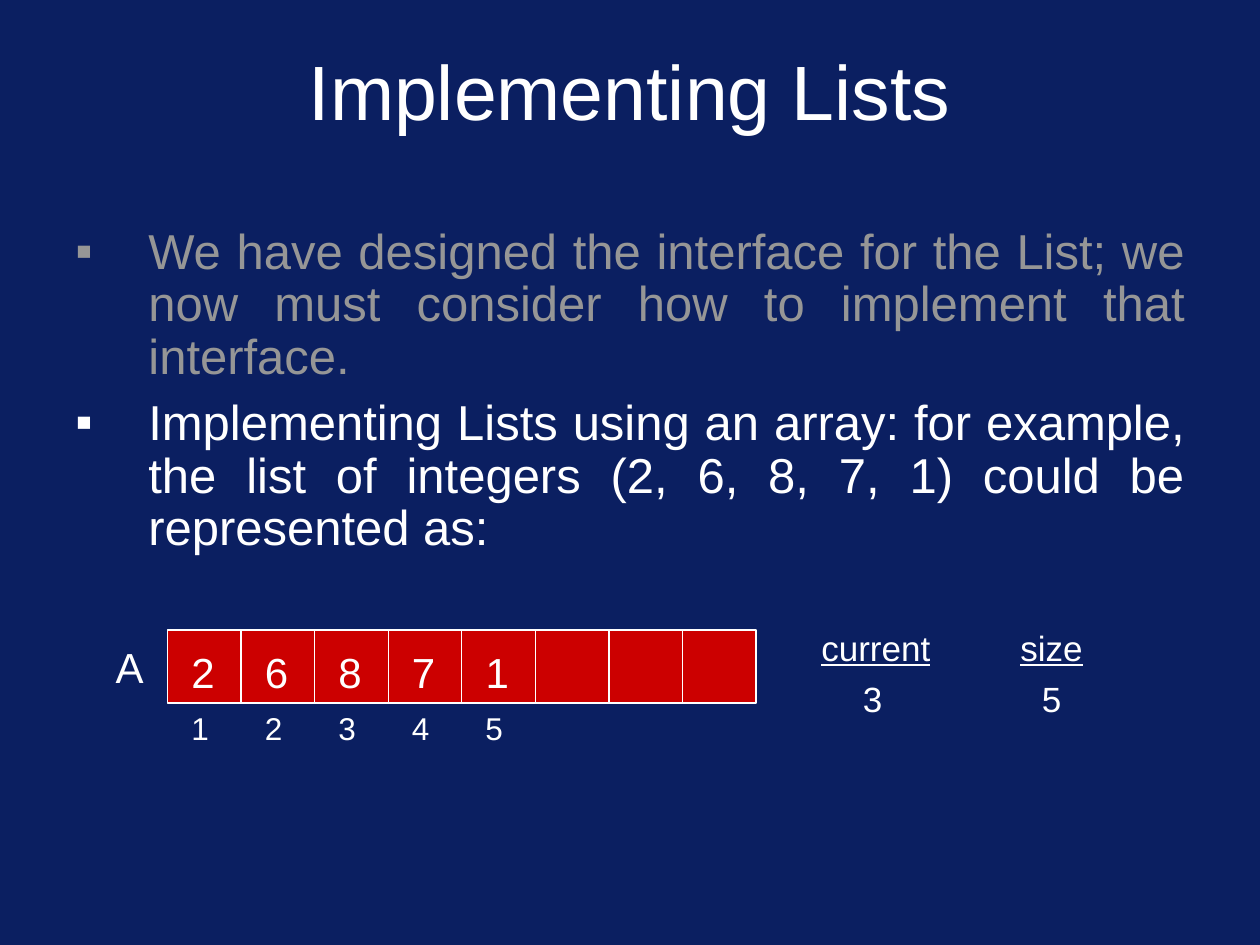
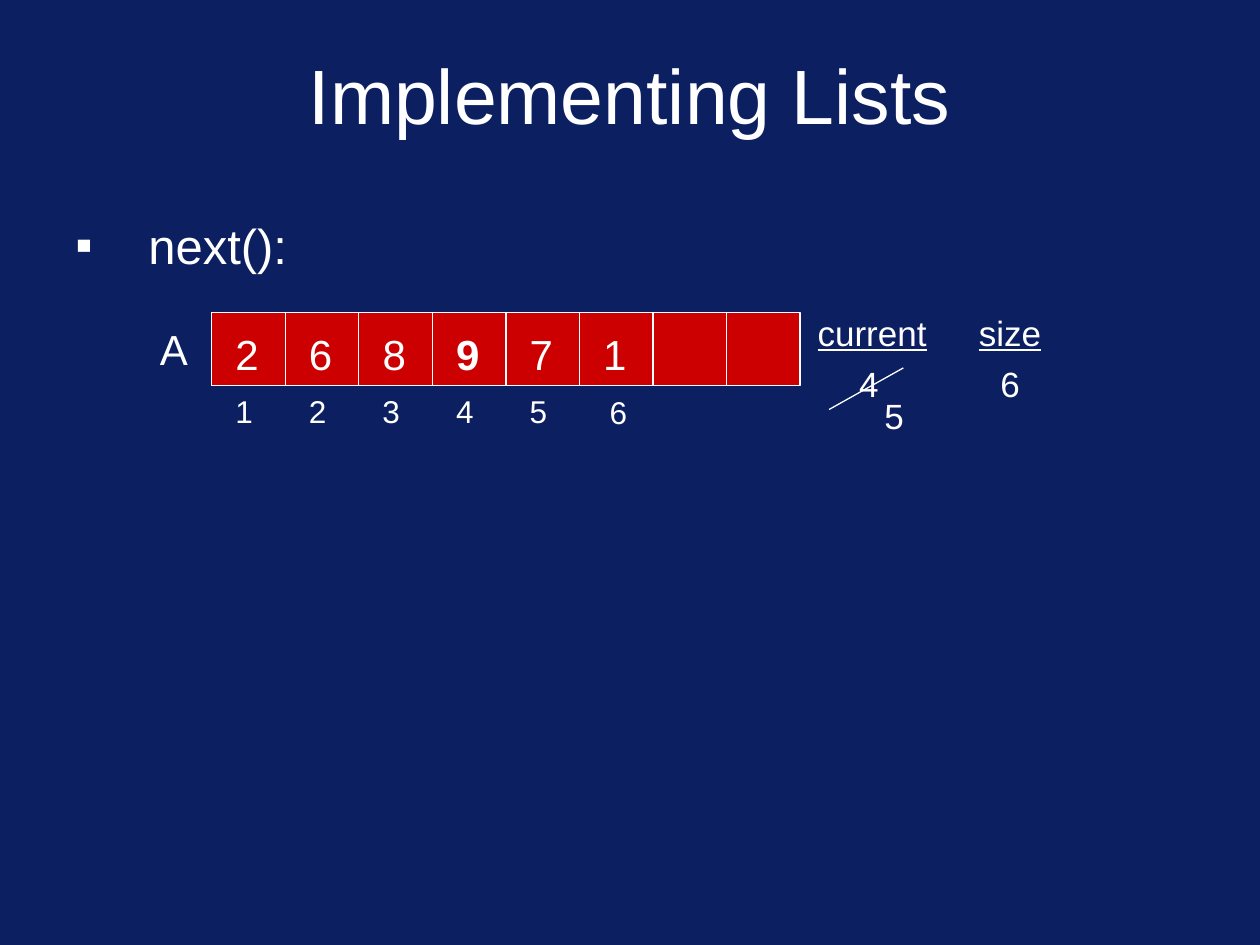
from dataclasses import dataclass

from lxml import etree
from pptx import Presentation
from pptx.dml.color import RGBColor as Color
from pptx.enum.shapes import MSO_CONNECTOR as Connector, MSO_SHAPE as Shape
from pptx.enum.text import MSO_ANCHOR as Anchor, MSO_AUTO_SIZE as AutoSize, PP_ALIGN as Align
from pptx.oxml.ns import qn
from pptx.util import Inches, Pt


@dataclass(frozen=True)
class Theme:
    font: str = "Arial"
    background: str = "0B1F61"
    ink: str = "FFFFFF"
    faded: str = "969696"
    cell: str = "CC0000"
    title: int = 44
    body: int = 28
    value: int = 24
    counter: int = 20
    index: int = 18
    line: float = 0.75


THEME = Theme()
CELLS = 8
ARRAY_WIDTH = 4.67
CELL_WIDTH = ARRAY_WIDTH / CELLS
CELL_HEIGHT = 0.58


class ListDeck:
    """Holds the deck, its style and the slide being built."""

    def __init__(self, theme):
        self.theme = theme
        self.deck = Presentation()
        self.deck.slide_width = Inches(10)
        self.deck.slide_height = Inches(7.5)

    def new_slide(self, title, title_top):
        self.slide = self.deck.slides.add_slide(self.deck.slide_layouts[6])
        fill = self.slide.background.fill
        fill.solid()
        fill.fore_color.rgb = Color.from_string(self.theme.background)
        self.shapes = self.slide.shapes
        frame = self.frame(0.5, title_top, 9, 1)
        frame.vertical_anchor = Anchor.MIDDLE
        para = frame.paragraphs[0]
        para.alignment = Align.CENTER
        self.span(para, title, self.theme.title)

    def new_group(self):
        self.shapes = self.slide.shapes.add_group_shape().shapes

    def frame(self, left, top, width, height):
        box = self.shapes.add_textbox(Inches(left), Inches(top), Inches(width), Inches(height))
        box.text_frame.word_wrap = True
        return box.text_frame

    def span(self, para, text, size, color=None, bold=None, underline=None):
        span = para.add_run()
        span.text = text
        font = span.font
        font.name, font.size = self.theme.font, Pt(size)
        font.color.rgb = Color.from_string(color or self.theme.ink)
        font.bold, font.underline = bold, underline

    def label(self, text, left, top, width, height, size, **style):
        frame = self.frame(left, top, width, height)
        frame.word_wrap = False
        frame.auto_size = AutoSize.SHAPE_TO_FIT_TEXT
        self.span(frame.paragraphs[0], text, size, **style)

    def bullets(self, items, height, spacing, align):
        frame = self.frame(0.5, 1.75, 9, height)
        for number, (text, color) in enumerate(items):
            para = frame.add_paragraph() if number else frame.paragraphs[0]
            para.alignment, para.line_spacing = align, spacing
            if number:
                para.space_before = Pt(7)
            self.bullet_mark(para, color)
            self.span(para, text, self.theme.body, color)

    def bullet_mark(self, para, color):
        props = para._p.get_or_add_pPr()
        props.set("marL", str(Inches(0.58)))
        props.set("indent", str(-Inches(0.58)))
        paint = etree.SubElement(props, qn("a:buClr"))
        etree.SubElement(paint, qn("a:srgbClr"), val=color)
        etree.SubElement(props, qn("a:buFont"), typeface=self.theme.font)
        etree.SubElement(props, qn("a:buChar"), char="▪")

    def line(self, start_x, start_y, end_x, end_y):
        line = self.shapes.add_connector(
            Connector.STRAIGHT, Inches(start_x), Inches(start_y), Inches(end_x), Inches(end_y))
        line.line.color.rgb = Color.from_string(self.theme.ink)
        line.line.width = Pt(self.theme.line)
        etree.SubElement(line._element.spPr, qn("a:effectLst"))

    def index(self, number, left, top):
        self.label(str(number), left, top, 0.34, 0.4, self.theme.index)

    def array(self, left, top, values, indices, new_value=None):
        bar = self.shapes.add_shape(
            Shape.RECTANGLE, Inches(left), Inches(top), Inches(ARRAY_WIDTH), Inches(CELL_HEIGHT))
        bar.shadow.inherit = False
        bar.fill.solid()
        bar.fill.fore_color.rgb = Color.from_string(self.theme.cell)
        bar.line.color.rgb = Color.from_string(self.theme.ink)
        bar.line.width = Pt(self.theme.line)

        self.label("A", left - 0.51, top + 0.04, 0.42, 0.5, self.theme.value)
        for cell in range(1, CELLS):
            edge = left + cell * CELL_WIDTH
            self.line(edge, top, edge, top + CELL_HEIGHT)
        for cell, value in enumerate(values):
            self.label(str(value), left + 0.09 + cell * CELL_WIDTH, top + 0.08, 0.38, 0.5,
                       self.theme.value, bold=value == new_value)
        for cell in range(indices):
            self.index(cell + 1, left + 0.09 + cell * CELL_WIDTH, top + CELL_HEIGHT)

    def number(self, value, left, top):
        self.label(str(value), left, top, 0.35, 0.44, self.theme.counter)

    def counters(self, top, current_left, current, size_left, size):
        for name, left, width, indent, value in (
            ("current", current_left, 1.12, 0.33, current),
            ("size", size_left, 0.75, 0.17, size),
        ):
            self.label(name, left, top, width, 0.44, self.theme.counter, underline=True)
            self.number(value, left + indent, top + 0.41)


def array_slide(page):
    page.new_slide("Implementing Lists", 0.21)
    page.bullets([
        ("We have designed the interface for the List; we now must consider how to "
         "implement that interface.", THEME.faded),
        ("Implementing Lists using an array: for example, the list of integers "
         "(2, 6, 8, 7, 1) could be represented as:", THEME.ink),
    ], 2.92, 0.9, Align.JUSTIFY)
    page.new_group()
    page.array(1.33, 5, [2, 6, 8, 7, 1], 5)
    page.counters(4.92, 6.42, 3, 8, 5)


def next_slide(page):
    page.new_slide("Implementing Lists", 0.24)
    page.bullets([("next():", THEME.ink)], 0.67, 0.8, Align.LEFT)
    page.new_group()
    page.counters(2.42, 6.39, 4, 7.67, 6)
    page.array(1.68, 2.48, [2, 6, 8, 9, 7, 1], 5, new_value=9)
    page.index(6, 4.74, 3.07)
    # Old position struck out, new one beside it
    page.new_group()
    page.number(5, 6.92, 3.08)
    page.line(6.58, 3.25, 7.17, 2.92)


def main():
    page = ListDeck(THEME)
    array_slide(page)
    next_slide(page)
    page.deck.save("out.pptx")


if __name__ == "__main__":
    main()
